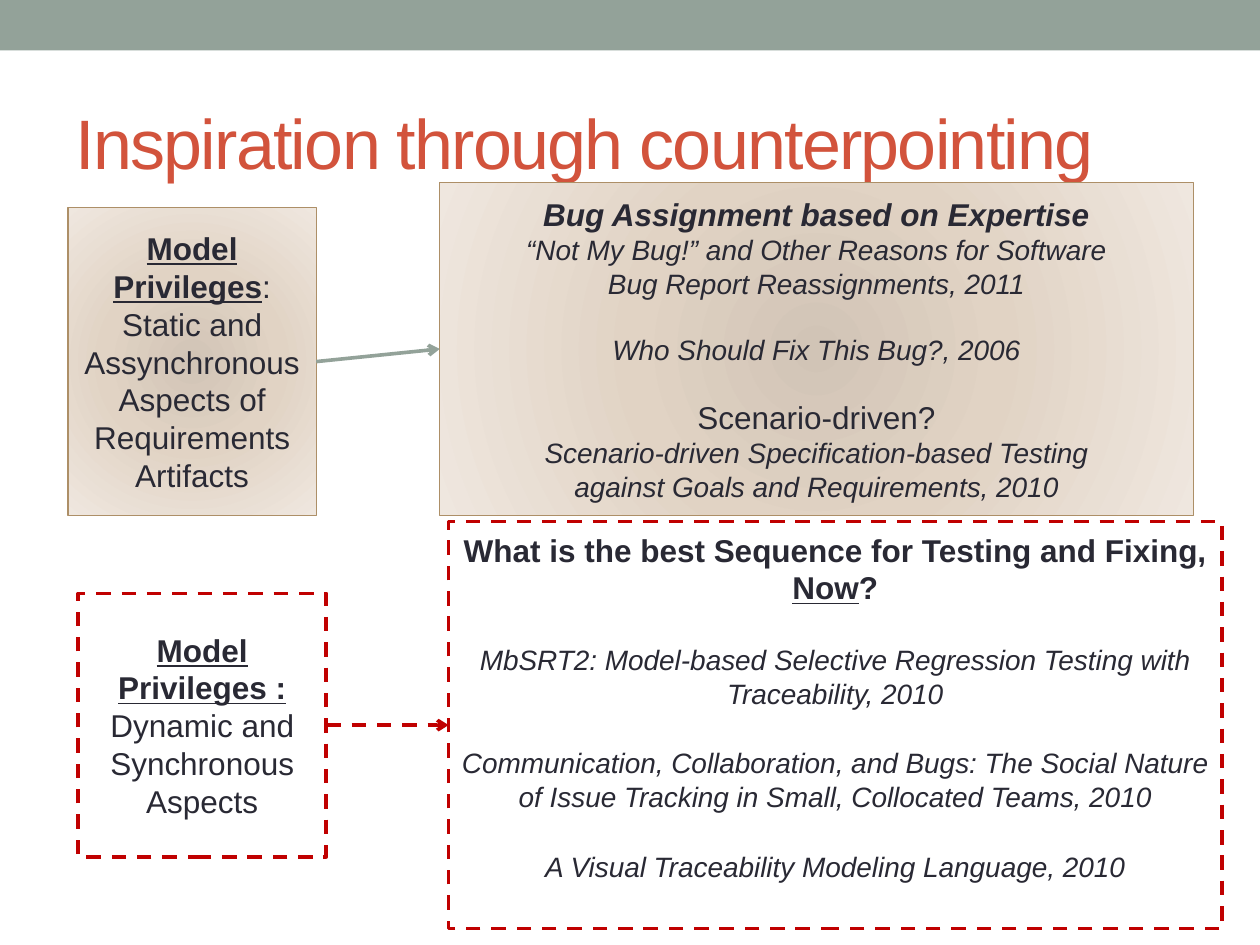
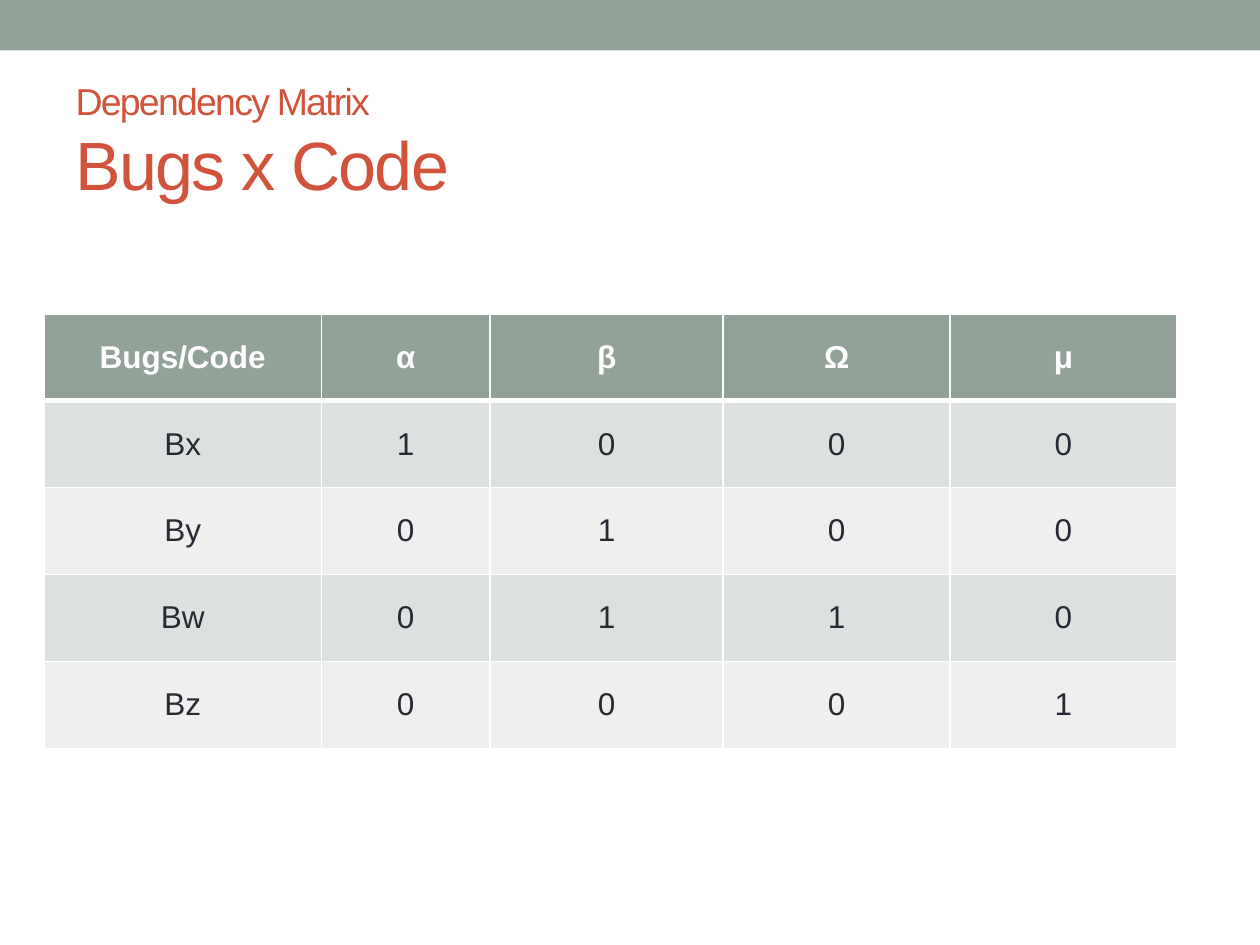
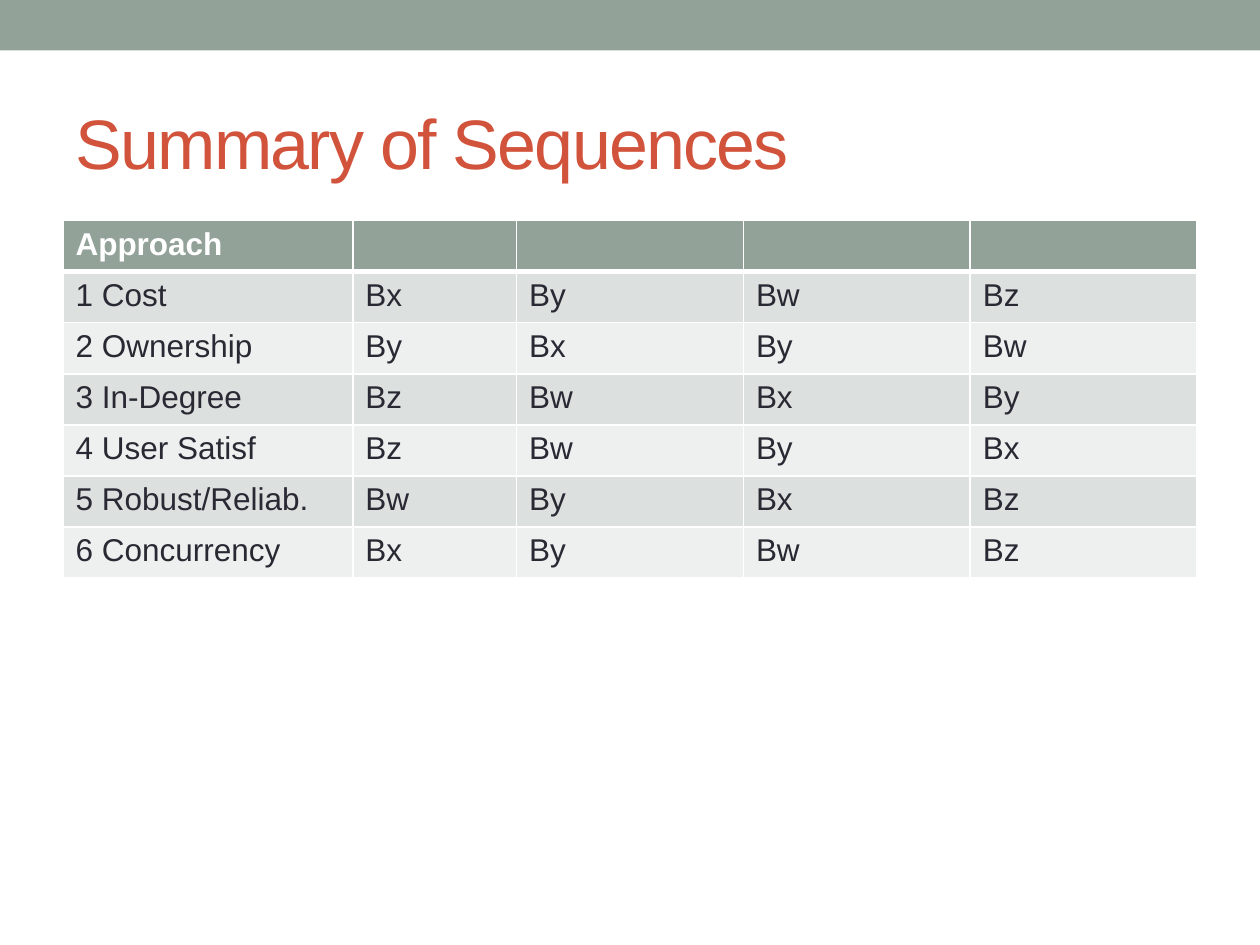
from lxml.etree import SubElement
from pptx import Presentation
from pptx.dml.color import RGBColor
from pptx.enum.dml import MSO_LINE
from pptx.enum.shapes import MSO_CONNECTOR, MSO_SHAPE
from pptx.enum.text import MSO_ANCHOR, MSO_AUTO_SIZE, PP_ALIGN
from pptx.oxml import parse_xml
from pptx.oxml.ns import nsdecls, qn
from pptx.util import Inches, Pt

FONT = "Arial"
SAGE, RUST, INK, WHITE = "93A299", "D2533C", "292934", "FFFFFF"
TAN, RED = "AD8F67", "C00000"
ROW_FILLS = ("DCE0DE", "EEF0EF")
GLOW = ((0, "D1C4B6"), (45, "E1D3C4"), (100, "EFE7DF"))
RIGHT_SITE, LEFT_SITE = 3, 1
GAP_16, GAP_18 = 18.4, 20.7  # height in points of one line at 16 and 18 pt

# A title is a list of lines: (text, size)
COUNTERPOINT_TITLE = [("Inspiration through counterpointing", 40)]
MATRIX_TITLE = [("Dependency Matrix ", 21.4), ("Bugs x Code", 39)]
SUMMARY_TITLE = [("Summary of Sequences", 40)]

# A paragraph is (space before, spans); a span is (text, format)
HEAD = dict(size=18, bold=True)
PAPER = dict(size=16, italic=True)
LABEL = dict(HEAD, underline=True)
PLAIN = dict(size=18)

STATIC_MODEL = [
    (0, [("Model Privileges", LABEL),
         (": Static and Assynchronous Aspects of Requirements Artifacts", PLAIN)]),
]
STATIC_PAPERS = [
    (0, [("Bug Assignment based on Expertise", dict(HEAD, italic=True))]),
    (0, [("“Not My Bug!” and Other Reasons for Software", PAPER)]),
    (0, [("Bug Report Reassignments, 2011", PAPER)]),
    (GAP_16, [("Who Should Fix This Bug?, 2006", PAPER)]),
    (GAP_16, [("Scenario-driven?", PLAIN)]),
    (0, [("Scenario-driven Specification-based Testing", PAPER)]),
    (0, [("against Goals and Requirements, 2010", PAPER)]),
]
DYNAMIC_MODEL = [
    (0, [("Model Privileges : ", LABEL), ("Dynamic and Synchronous Aspects", PLAIN)]),
]
DYNAMIC_PAPERS = [
    (0, [("What is the best Sequence for Testing and Fixing, ", HEAD),
         ("Now", LABEL), ("?", HEAD)]),
    (GAP_18, [("MbSRT2: Model-based Selective Regression Testing with "
               "Traceability, 2010", PAPER)]),
    (GAP_18, [("Communication, Collaboration, and Bugs: The Social Nature of Issue "
               "Tracking in Small, Collocated Teams, 2010", PAPER)]),
    (GAP_18, [("A Visual Traceability Modeling Language, 2010", PAPER)]),
]

SOLID_STYLE = dict(line=TAN, width=0.75, glow=True)
DASHED_STYLE = dict(line=RED, width=2.08, dashed=True)
# Each pair: box style, arrow colour, then two boxes (place, paragraphs, bottom inset)
PAIRS = [
    (SOLID_STYLE, SAGE,
     ((0.54, 1.65, 1.97, 2.44), STATIC_MODEL, 0.05),
     ((3.49, 1.45, 5.98, 2.64), STATIC_PAPERS, 0.05)),
    (DASHED_STYLE, RED,
     ((0.62, 4.71, 1.97, 2.09), DYNAMIC_MODEL, 0.05),
     ((3.56, 4.14, 6.14, 3.23), DYNAMIC_PAPERS, 0.34)),
]

MATRIX = [
    ("Bugs/Code", "α", "β", "Ω", "μ"),
    ("Bx", "1", "0", "0", "0"),
    ("By", "0", "1", "0", "0"),
    ("Bw", "0", "1", "1", "0"),
    ("Bz", "0", "0", "0", "1"),
]
SEQUENCES = [
    ("Approach", "", "", "", ""),
    ("1 Cost", "Bx", "By", "Bw", "Bz"),
    ("2 Ownership", "By", "Bx", "By", "Bw"),
    ("3 In-Degree", "Bz", "Bw", "Bx", "By"),
    ("4 User Satisf", "Bz", "Bw", "By", "Bx"),
    ("5 Robust/Reliab.", "Bw", "By", "Bx", "Bz"),
    ("6 Concurrency", "Bx", "By", "Bw", "Bz"),
]


def color(value):
    """Turn a hex string into a colour."""
    return RGBColor.from_string(value)


def add_text(para, text, size=18, ink=INK, bold=False, italic=False,
             underline=False, tracking=None):
    """Add a formatted span to a paragraph."""
    span = para.add_run()
    span.text = text
    font = span.font
    font.name, font.size, font.color.rgb = FONT, Pt(size), color(ink)
    font.bold, font.italic, font.underline = bold, italic, underline
    if tracking is not None:
        font.element.set("spc", str(tracking)) if hasattr(font, "element") else \
            para.runs[-1].font._element.set("spc", str(tracking))


def add_band(deck, page):
    """Put the top band on the master, behind everything."""
    band = page.shapes.add_shape(MSO_SHAPE.RECTANGLE, 0, 0, deck.slide_width, Inches(0.4))
    band.shadow.inherit = False
    band.fill.solid()
    band.fill.fore_color.rgb = color(SAGE)
    band.line.fill.background()
    deck.slide_master.shapes.element.insert(2, band.element)


def add_page(deck, title_lines):
    """Add a slide with its title."""
    page = deck.slides.add_slide(deck.slide_layouts.get_by_name("Title Only"))
    title = page.shapes.title
    title.left, title.top, title.width, title.height = map(Inches, (0.5, 0.58, 9, 1.08))
    frame = title.text_frame
    frame.auto_size = MSO_AUTO_SIZE.NONE
    frame.vertical_anchor = MSO_ANCHOR.MIDDLE
    para = frame.paragraphs[0]
    para.alignment = PP_ALIGN.LEFT
    for index, (text, size) in enumerate(title_lines):
        if index:
            para.add_line_break()
        add_text(para, text, size=size, ink=RUST, tracking=-100)
    return page


def set_glow(box):
    """Give a box the shared radial gradient."""
    stops = "".join(f'<a:gs pos="{place * 1000}"><a:srgbClr val="{value}"/></a:gs>'
                    for place, value in GLOW)
    gradient = parse_xml(
        f'<a:gradFill {nsdecls("a")} rotWithShape="1"><a:gsLst>{stops}</a:gsLst>'
        '<a:path path="circle"><a:fillToRect l="100000" t="100000" r="100000" '
        'b="100000"/></a:path></a:gradFill>')
    properties = box.element.spPr
    properties.replace(properties.find(qn("a:solidFill")), gradient)


def set_line(line, ink, width, dashed=False):
    """Format an outline or a connector line."""
    line.color.rgb = color(ink)
    line.width = Pt(width)
    if dashed:
        line.dash_style = MSO_LINE.DASH


def add_box(page, place, paragraphs, bottom, line, width, dashed=False, glow=False):
    """Add a rectangle with centred paragraphs."""
    box = page.shapes.add_shape(MSO_SHAPE.RECTANGLE, *map(Inches, place))
    box.shadow.inherit = False
    box.fill.solid()
    box.fill.fore_color.rgb = color(WHITE)
    if glow:
        set_glow(box)
    set_line(box.line, line, width, dashed)
    frame = box.text_frame
    frame.word_wrap = True
    frame.vertical_anchor = MSO_ANCHOR.MIDDLE
    frame.margin_bottom = Inches(bottom)
    for index, (space, spans) in enumerate(paragraphs):
        para = frame.add_paragraph() if index else frame.paragraphs[0]
        para.alignment = PP_ALIGN.CENTER
        para.space_before = Pt(space)
        for text, style in spans:
            add_text(para, text, **style)
    return box


def add_arrow(page, source, target, ink, dashed):
    """Connect the right side of one box to the left side of another."""
    arrow = page.shapes.add_connector(MSO_CONNECTOR.STRAIGHT, 0, 0, 0, 0)
    arrow.begin_connect(source, RIGHT_SITE)
    arrow.end_connect(target, LEFT_SITE)
    set_line(arrow.line, ink, 2.08, dashed)
    properties = arrow.element.spPr
    SubElement(properties.find(qn("a:ln")), qn("a:tailEnd"), type="arrow")
    SubElement(properties, qn("a:effectLst"))


def set_borders(cell, top, bottom):
    """Draw white borders around a cell; widths in points."""
    widths = (("lnL", 1), ("lnR", 1), ("lnT", top), ("lnB", bottom))
    for index, (side, width) in enumerate(widths):
        border = parse_xml(
            f'<a:{side} {nsdecls("a")} w="{Pt(width)}"><a:solidFill>'
            f'<a:srgbClr val="{WHITE}"/></a:solidFill></a:{side}>')
        cell._tc.get_or_add_tcPr().insert(index, border)


def add_grid(page, rows, left, top, height, widths, align, anchor):
    """Add a table with a header row and alternating row fills."""
    grid = page.shapes.add_table(len(rows), len(widths), Inches(left), Inches(top),
                                 Inches(sum(widths)), Inches(height)).table
    for column, width in zip(grid.columns, widths):
        column.width = Inches(width)
    for r, values in enumerate(rows):
        header = r == 0
        for c, value in enumerate(values):
            cell = grid.cell(r, c)
            cell.fill.solid()
            cell.fill.fore_color.rgb = color(SAGE if header else ROW_FILLS[(r - 1) % 2])
            set_borders(cell, top=3 if r == 1 else 1, bottom=3 if header else 1)
            cell.vertical_anchor = anchor
            para = cell.text_frame.paragraphs[0]
            para.alignment = align
            if value:
                add_text(para, value, ink=WHITE if header else INK, bold=header)


deck = Presentation()
deck.slide_width, deck.slide_height = Inches(10), Inches(7.5)

counterpoint = add_page(deck, COUNTERPOINT_TITLE)
add_band(deck, counterpoint)
for style, arrow_ink, model, papers in PAIRS:
    model_box, papers_box = [add_box(counterpoint, *part, **style) for part in (model, papers)]
    add_arrow(counterpoint, model_box, papers_box, arrow_ink, style.get("dashed", False))

matrix = add_page(deck, MATRIX_TITLE)
add_grid(matrix, MATRIX, 0.35, 2.49, 3.45, (2.2, 1.34, 1.85, 1.8, 1.8),
         PP_ALIGN.CENTER, MSO_ANCHOR.MIDDLE)

summary = add_page(deck, SUMMARY_TITLE)
add_grid(summary, SEQUENCES, 0.5, 1.75, 2.84, (2.3, 1.3, 1.8, 1.8, 1.8),
         PP_ALIGN.LEFT, MSO_ANCHOR.TOP)

deck.save("out.pptx")
